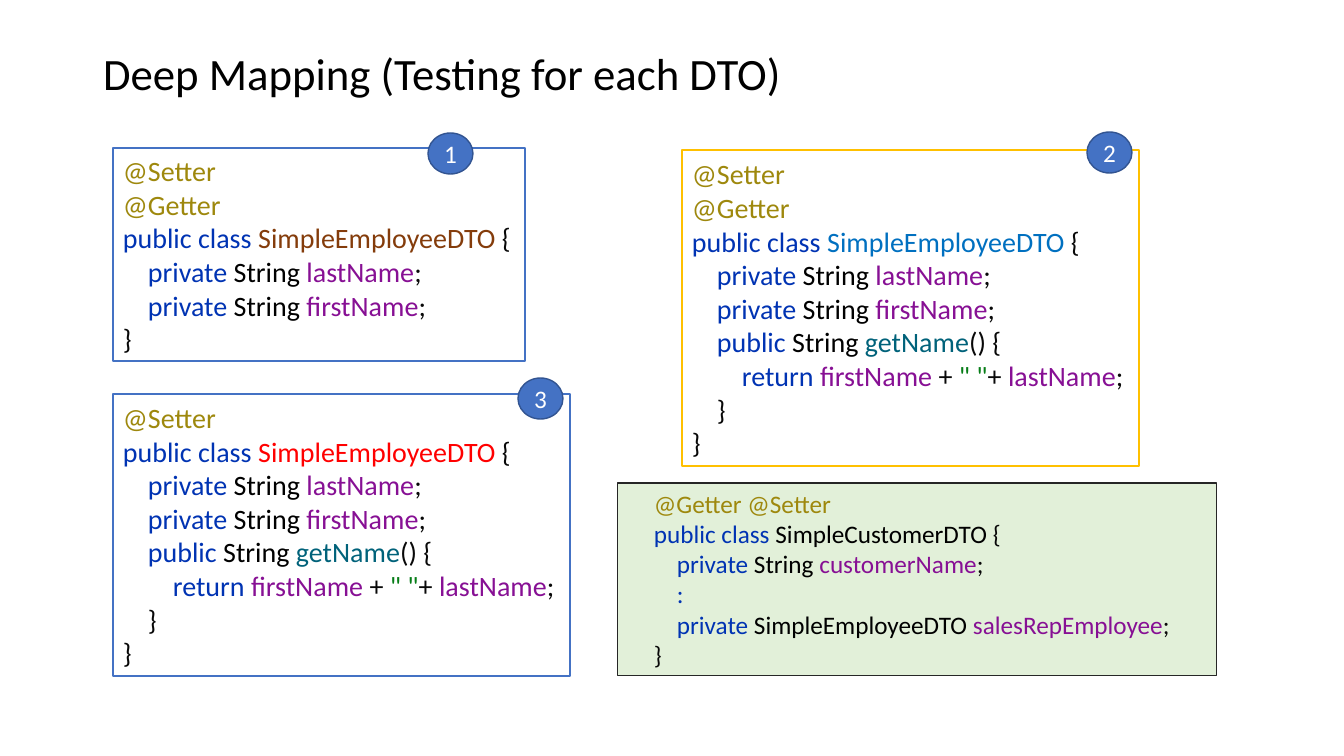
from pptx import Presentation
from pptx.dml.color import RGBColor
from pptx.enum import shapes, text
from pptx.util import Emu, Pt

# Content: a code line is (indent level, [(colour name, text), ...])
TITLE = "Deep Mapping (Testing for each DTO)"
SETTER = (0, [("annotation", "@Setter")])
GETTER = (0, [("annotation", "@Getter")])
BOTH = (0, [("annotation", "@Getter @Setter")])
MORE = (1, [("keyword", ":")])
END = (0, [("code", "}")])


def class_line(name, colour):
    return (0, [("keyword", "public class "), (colour, name), ("code", " {")])


def field(kind, name):
    return (1, [("keyword", "private "), ("black", kind + " "),
                ("member", name), ("code", ";")])


NAMES = [field("String", "lastName"), field("String", "firstName")]
GET_NAME = [
    (1, [("keyword", "public "), ("black", "String "),
         ("method", "getName"), ("code", "() {")]),
    (2, [("keyword", "return "), ("member", "firstName "), ("code", "+ "),
         ("string", '" "'), ("code", "+ "), ("member", "lastName"),
         ("code", ";")]),
    (1, [("code", "}")]),
]
EMPLOYEE = "SimpleEmployeeDTO"
MIDDLE, TOP = text.MSO_ANCHOR.MIDDLE, text.MSO_ANCHOR.TOP

# Box: (x, y, w, h) px, fill, line, line pt, anchor, top and bottom inset px,
# wrap, size, base indent px, level px, lines
BOXES = [
    ((113, 148, 412, 213), "white", "blue", 1, MIDDLE, 0, False, "code", 0, 25,
     [SETTER, GETTER, class_line(EMPLOYEE, "brown"), *NAMES, END]),
    ((682, 150, 457, 316), "white", "gold", 1, MIDDLE, 5, False, "code", 0, 25,
     [SETTER, GETTER, class_line(EMPLOYEE, "sky"), *NAMES, *GET_NAME, END]),
    ((113, 394, 457, 282), "white", "blue", 1, MIDDLE, 5, False, "code", 0, 25,
     [SETTER, class_line(EMPLOYEE, "red"), *NAMES, *GET_NAME, END]),
    ((618, 483, 599, 193), "mint", "dark", 0.75, TOP, 5, True, "small", 26, 23,
     [BOTH, class_line("SimpleCustomerDTO", "black"),
      field("String", "customerName"), MORE,
      field(EMPLOYEE, "salesRepEmployee"), END]),
]
BADGES = [("1", 428, 133), ("3", 518, 378), ("2", 1087, 132)]
BADGE_W, BADGE_H = 45, 41

THEME = {
    "font": "Calibri",
    "size": {"title": 32, "code": 20, "small": 18},
    "colour": {
        "white": "FFFFFF", "black": "000000", "blue": "4472C4",
        "navy": "325491", "gold": "FFC000", "mint": "E2F0D9",
        "dark": "262626", "brown": "843C0B", "sky": "0070C0",
        "red": "FF0000", "annotation": "9E880D", "keyword": "0033B3",
        "code": "080808", "member": "871094", "method": "00627A",
        "string": "067D17",
    },
}


def px(n):
    return Emu(round(n * 914400 / 100.8))


def colour(name):
    return RGBColor.from_string(THEME["colour"][name])


def style(r, size, name):
    r.font.name = THEME["font"]
    r.font.size = Pt(THEME["size"][size])
    r.font.color.rgb = colour(name)


def add_panel(s, kind, area, fill, line, width, anchor, inset):
    sp = s.shapes.add_shape(kind, *map(px, area))
    sp.shadow.inherit = False
    sp.fill.solid()
    sp.fill.fore_color.rgb = colour(fill)
    sp.line.color.rgb = colour(line)
    sp.line.width = Pt(width)
    tf = sp.text_frame
    tf.margin_top = tf.margin_bottom = px(inset)
    tf.vertical_anchor = anchor
    return tf


def add_code(s, area, fill, line, width, anchor, inset, wrap,
             size, base, step, lines):
    tf = add_panel(s, shapes.MSO_SHAPE.RECTANGLE, area, fill, line, width,
                   anchor, inset)
    tf.word_wrap = wrap
    tf.auto_size = text.MSO_AUTO_SIZE.SHAPE_TO_FIT_TEXT
    tf.text = "\n".join("" for _ in lines)
    for p, (level, runs) in zip(tf.paragraphs, lines):
        p.alignment = text.PP_ALIGN.LEFT
        pPr = p._p.get_or_add_pPr()
        pPr.set("marL", str(px(base + level * step)))
        pPr.set("indent", "0")
        for name, words in runs:
            r = p.add_run()
            r.text = words
            style(r, size, name)


def add_badge(s, number, x, y):
    tf = add_panel(s, shapes.MSO_SHAPE.OVAL, (x, y, BADGE_W, BADGE_H),
                   "blue", "navy", 1, MIDDLE, 0)
    tf.margin_left = tf.margin_right = 0
    tf.text = number
    p = tf.paragraphs[0]
    p.alignment = text.PP_ALIGN.CENTER
    style(p.runs[0], "small", "white")


def main():
    prs = Presentation()
    prs.slide_width, prs.slide_height = px(1344), px(756)
    s = prs.slides.add_slide(prs.slide_layouts[5])

    # Title
    title = s.shapes.title
    title.left, title.top, title.width, title.height = map(px, (93, 40, 1159, 72))
    title.text_frame.text = TITLE
    title.text_frame.vertical_anchor = MIDDLE
    p = title.text_frame.paragraphs[0]
    p.alignment = text.PP_ALIGN.LEFT
    p.line_spacing = 0.9
    style(p.runs[0], "title", "black")

    # Code boxes, then the numbers on top
    for box in BOXES:
        add_code(s, *box)
    for badge in BADGES:
        add_badge(s, *badge)

    prs.save("out.pptx")


if __name__ == "__main__":
    main()
